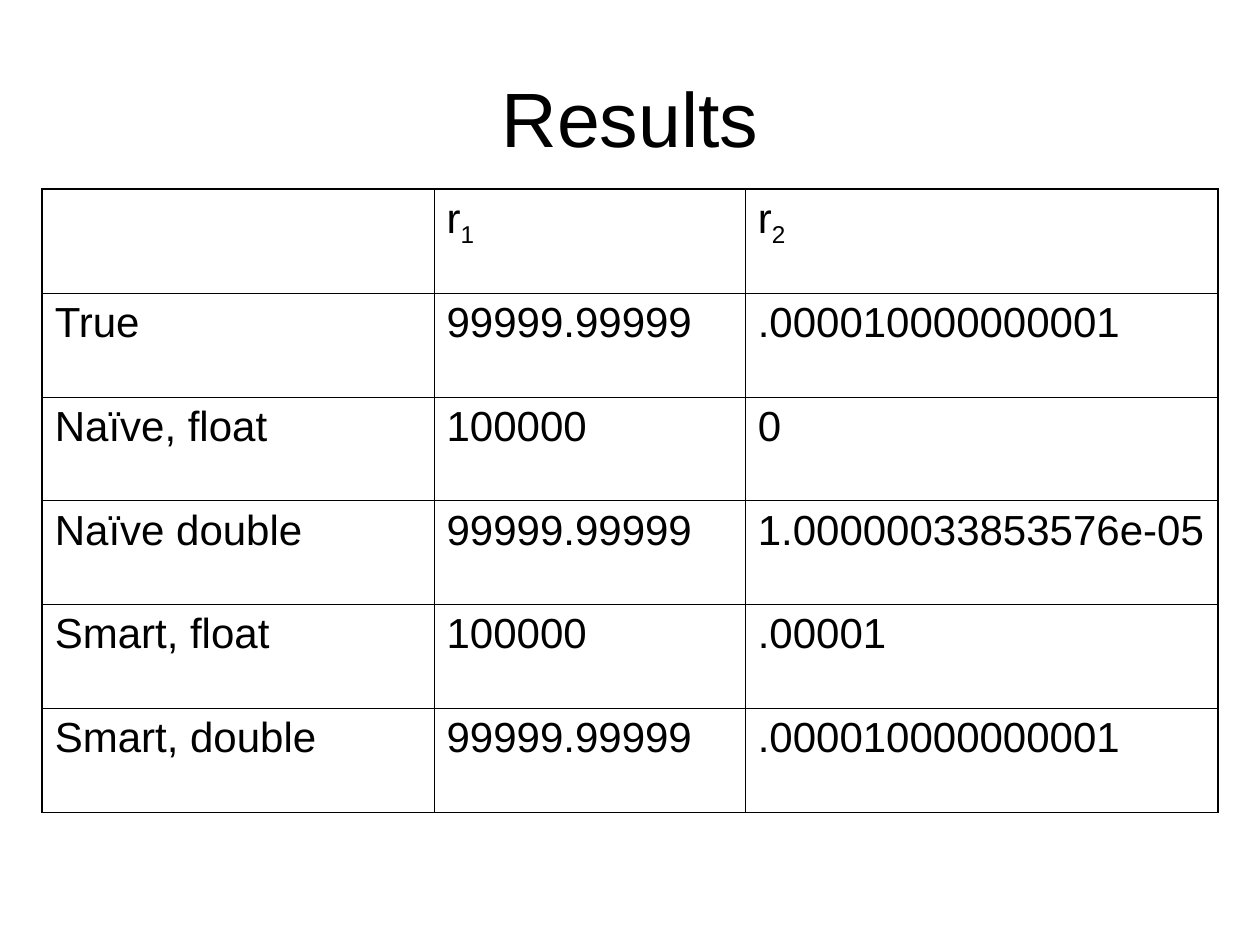
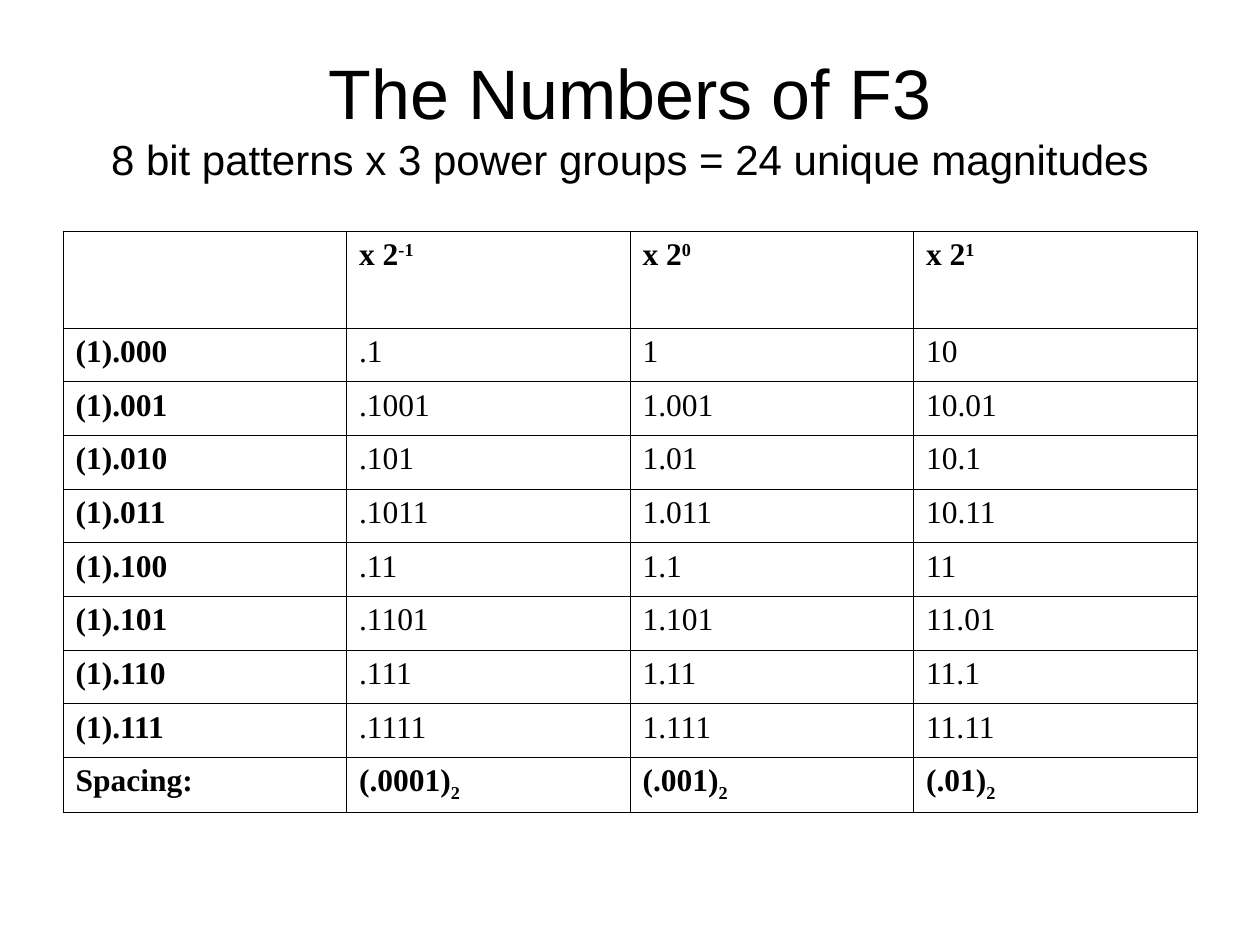
from lxml import etree
from pptx import Presentation
from pptx.dml.color import RGBColor
from pptx.enum.text import MSO_ANCHOR as Anchor, MSO_AUTO_SIZE as AutoSize, PP_ALIGN as Align
from pptx.oxml.ns import qn
from pptx.util import Inches, Pt

COLORS = {"ink": "000000"}
TITLE_FONT = "Arial"
SLIDE_WIDTH = 10
THIN, THICK = 0.45, 1.08
# Marks in table text: the rest of the cell is raised or lowered
BASELINES = {"^": "30000", "_": "-25000"}


def style_run(run, font, size, bold=False):
    run.font.name = font
    run.font.size = Pt(size)
    run.font.bold = bold
    run.font.color.rgb = RGBColor.from_string(COLORS["ink"])


def draw_border(cell, side, width):
    line = etree.SubElement(cell._tc.get_or_add_tcPr(), qn(f"a:ln{side}"), w=str(Pt(width)))
    fill = etree.SubElement(line, qn("a:solidFill"))
    etree.SubElement(fill, qn("a:srgbClr"), val=COLORS["ink"])


# Content: results of the root formulas, then the numbers of the F3 system
slides = [
    {
        "title": [("Results", 44)],
        "top": 1.5,
        "columns": [3.11, 2.47, 3.75],
        "heights": [4.95 / 6] * 6,
        "font": "Arial", "size": 24, "frame": THICK, "bold_edges": False, "hanging": 0,
        "rows": [
            ["", "r_1", "r_2"],
            ["True", "99999.99999", ".000010000000001"],
            ["Naïve, float", "100000", "0"],
            ["Naïve double", "99999.99999", "1.00000033853576e-05"],
            ["Smart, float", "100000", ".00001"],
            ["Smart, double", "99999.99999", ".000010000000001"],
        ],
    },
    {
        "title": [("The Numbers of F3", 40),
                  ("8 bit patterns x 3 power groups = 24 unique magnitudes", 24)],
        "top": 11 / 6,
        "columns": [2.25] * 4,
        "heights": [0.77] + [3.41 / 8] * 8 + [0.44],
        "font": "Times New Roman", "size": 18, "frame": THIN, "bold_edges": True, "hanging": 0.38,
        "rows": [
            ["", "x 2^-1", "x 2^0", "x 2^1"],
            ["(1).000", ".1", "1", "10"],
            ["(1).001", ".1001", "1.001", "10.01"],
            ["(1).010", ".101", "1.01", "10.1"],
            ["(1).011", ".1011", "1.011", "10.11"],
            ["(1).100", ".11", "1.1", "11"],
            ["(1).101", ".1101", "1.101", "11.01"],
            ["(1).110", ".111", "1.11", "11.1"],
            ["(1).111", ".1111", "1.111", "11.11"],
            ["Spacing:", "(.0001)_2", "(.001)_2", "(.01)_2"],
        ],
    },
]

prs = Presentation()
prs.slide_width, prs.slide_height = Inches(SLIDE_WIDTH), Inches(7.5)

for content in slides:
    slide = prs.slides.add_slide(prs.slide_layouts[5])

    # Title, its lines parted by line breaks
    title = slide.shapes.title
    title.left, title.top = Inches(0.5), Inches(0.3)
    title.width, title.height = Inches(9), Inches(1.25)
    title.text_frame.text = "\v".join(text for text, size in content["title"])
    title.text_frame.auto_size = AutoSize.NONE
    title.text_frame.vertical_anchor = Anchor.MIDDLE
    heading = title.text_frame.paragraphs[0]
    heading.alignment = Align.CENTER
    for run, (text, size) in zip(heading.runs, content["title"]):
        style_run(run, TITLE_FONT, size)

    # Table grid, centred across the slide
    rows, columns, heights = content["rows"], content["columns"], content["heights"]
    width, height = sum(columns), sum(heights)
    grid = slide.shapes.add_table(len(rows), len(columns), Inches((SLIDE_WIDTH - width) / 2),
                                  Inches(content["top"]), Inches(width), Inches(height)).table
    grid.first_row = grid.horz_banding = False
    for column, column_width in zip(grid.columns, columns):
        column.width = Inches(column_width)
    for row, row_height in zip(grid.rows, heights):
        row.height = Inches(row_height)

    # Cells: outer frame, thin inner lines, text with raised or lowered ends
    last_row, last_column = len(rows) - 1, len(columns) - 1
    for r, values in enumerate(rows):
        for c, value in enumerate(values):
            cell = grid.cell(r, c)
            on_frame = {"L": c == 0, "R": c == last_column, "T": r == 0, "B": r == last_row}
            for side, outer in on_frame.items():
                draw_border(cell, side, content["frame"] if outer else THIN)
            cell.fill.background()
            if not value:
                continue

            mark = next((m for m in BASELINES if m in value), None)
            entry = cell.text_frame.paragraphs[0]
            for part in value.split(mark) if mark else [value]:
                entry.add_run().text = part
            bold = content["bold_edges"] and (c == 0 or r in (0, last_row))
            for run in entry.runs:
                style_run(run, content["font"], content["size"], bold)
            if mark:
                entry.runs[1].font._element.set("baseline", BASELINES[mark])
            if content["hanging"]:
                indent = Inches(content["hanging"])
                properties = entry._p.get_or_add_pPr()
                properties.set("marL", str(indent))
                properties.set("indent", str(-indent))

prs.save("out.pptx")
